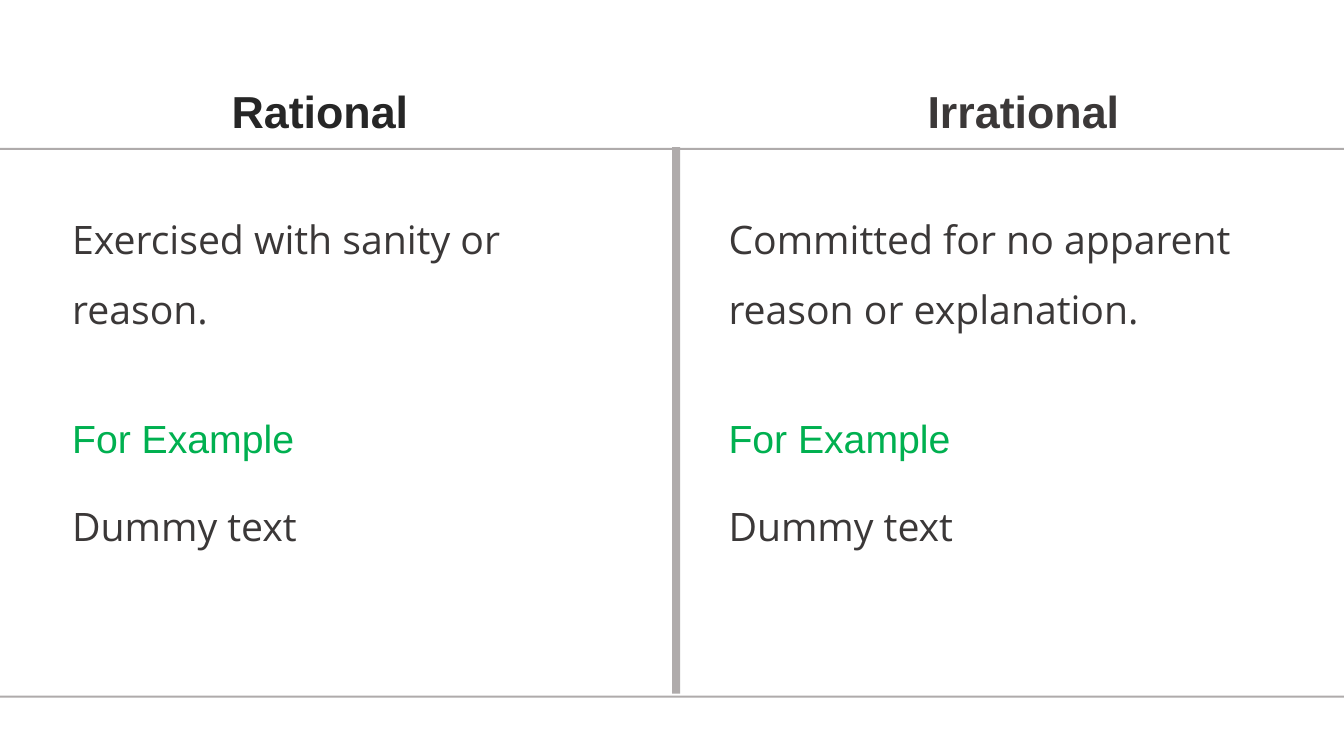
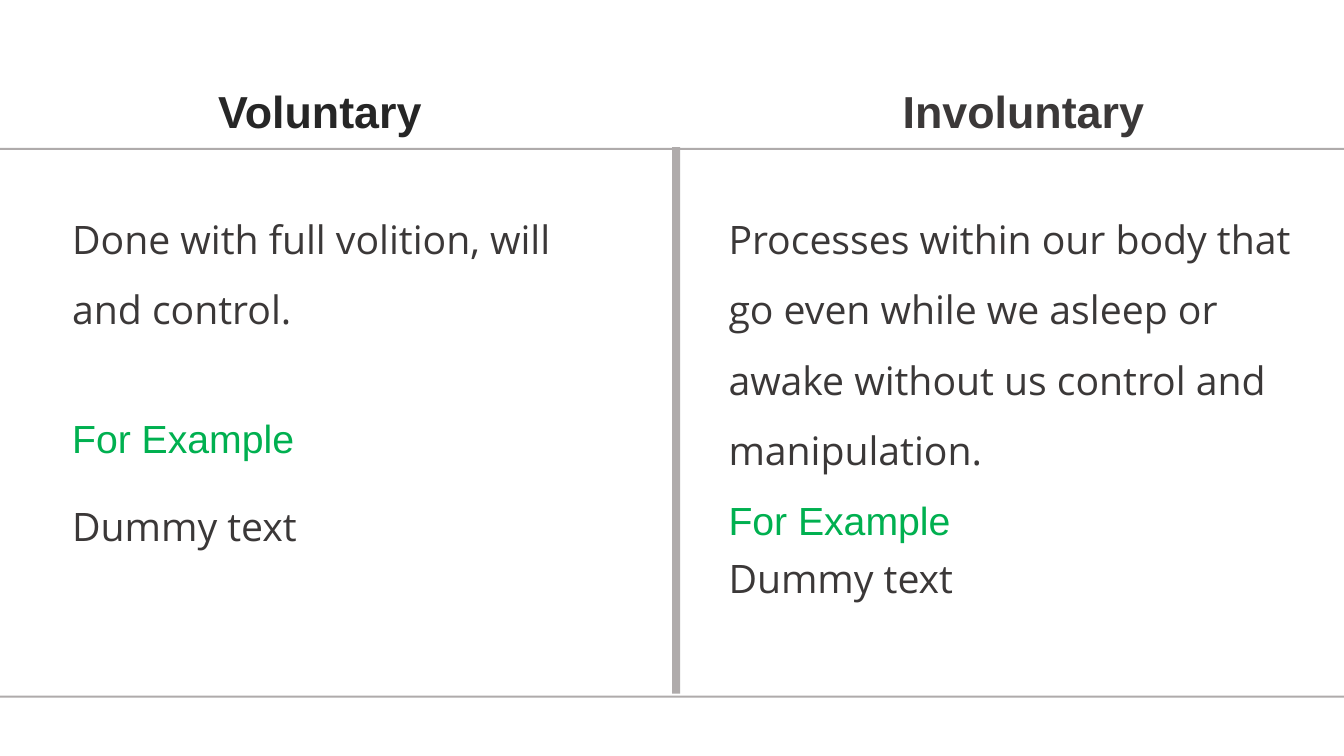
from dataclasses import dataclass

from pptx import Presentation
from pptx.dml.color import RGBColor
from pptx.enum.shapes import MSO_SHAPE as Shape
from pptx.enum.text import PP_ALIGN as Align
from pptx.slide import Slide
from pptx.util import Cm, Pt

COLORS = {"rule": "AFABAB", "dark": "262626", "text": "3B3838", "green": "00B050"}
WIDTH, HEIGHT = 33.87, 19.05


@dataclass(frozen=True)
class Style:
    font: str
    size: int
    color: str
    lines: float
    bold: bool = False
    align: Align = Align.LEFT


@dataclass(frozen=True)
class Side:
    """Place and heading style of a column."""
    head_x: float
    text_x: float
    head: Style


@dataclass(frozen=True)
class Topic:
    head: str
    lines: tuple[str, ...]
    label_y: float = 10.46
    sample_y: float = 11.94


BODY = Style("Open Sans", 28, "text", 1.5)
LABEL = Style("Arial", 28, "green", 0.9)
SIDES = (
    Side(2.21, 1.57, Style("Arial", 32, "dark", 1.5, True, Align.CENTER)),
    Side(19.94, 18.11, Style("Arial", 32, "text", 1.5, True, Align.CENTER)),
)

# Left, top, width, height: top rule, bottom rule, divider
RULES = (
    (0, 3.73, WIDTH, 0.05),
    (0, 17.53, WIDTH, 0.05),
    (16.94, 3.71, 0.2, 13.77),
)

PAGES = (
    (
        Topic("Rational", ("Exercised with sanity or", "reason.")),
        Topic("Irrational", ("Committed for no apparent reason or explanation.",)),
    ),
    (
        Topic("Voluntary", ("Done with full volition, will", "and control.")),
        Topic(
            "Involuntary",
            ("Processes within our body that go even while we asleep or "
             "awake without us control and manipulation.",),
            label_y=12.52,
            sample_y=13.26,
        ),
    ),
)


def add_rule(slide: Slide, x: float, y: float, w: float, h: float) -> None:
    rule = slide.shapes.add_shape(Shape.RECTANGLE, Cm(x), Cm(y), Cm(w), Cm(h))
    rule.shadow.inherit = False
    rule.fill.solid()
    rule.fill.fore_color.rgb = RGBColor.from_string(COLORS["rule"])
    rule.line.fill.background()


def add_text(slide: Slide, x: float, y: float, w: float, h: float,
             style: Style, *lines: str) -> None:
    frame = slide.shapes.add_textbox(Cm(x), Cm(y), Cm(w), Cm(h)).text_frame
    frame.word_wrap = True
    frame.text = "\n".join(lines)
    for para in frame.paragraphs:
        para.alignment = style.align
        para.line_spacing = style.lines
        font = para.font
        font.name, font.size, font.bold = style.font, Pt(style.size), style.bold
        font.color.rgb = RGBColor.from_string(COLORS[style.color])


def add_topic(slide: Slide, side: Side, topic: Topic) -> None:
    x = side.text_x
    body_h = 3.66 if topic.label_y < 11 else 9.04
    add_text(slide, side.head_x, 1.32, 11.71, 2.03, side.head, topic.head)
    add_text(slide, x, 4.7, 15.04, body_h, BODY, *topic.lines)
    add_text(slide, x, topic.label_y, 7.52, 1.65, LABEL, "For Example")
    add_text(slide, x, topic.sample_y, 14.4, 1.85, BODY, "Dummy text")


def main() -> None:
    deck = Presentation()
    deck.slide_width, deck.slide_height = Cm(WIDTH), Cm(HEIGHT)
    blank = deck.slide_layouts[6]
    for topics in PAGES:
        slide = deck.slides.add_slide(blank)
        for rule in RULES:
            add_rule(slide, *rule)
        for side, topic in zip(SIDES, topics):
            add_topic(slide, side, topic)
    deck.save("out.pptx")


if __name__ == "__main__":
    main()
